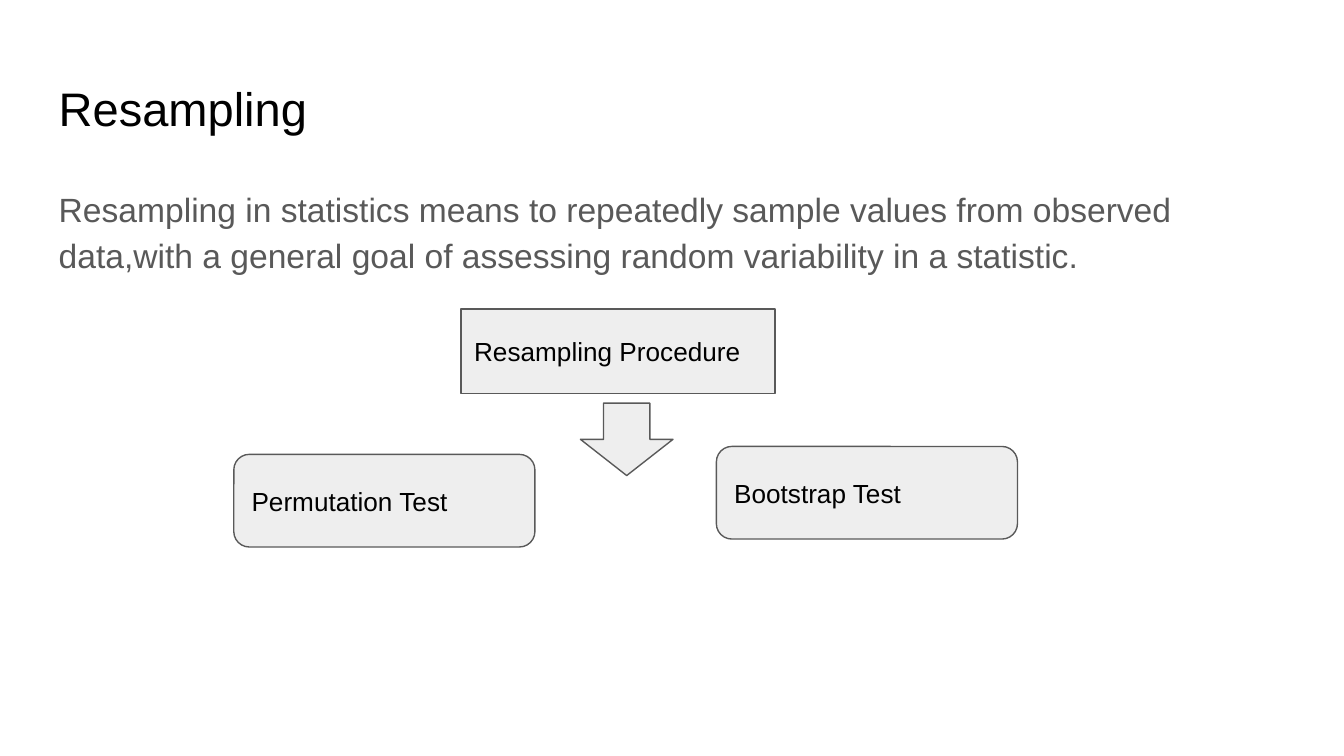
from pptx import Presentation
from pptx.dml.color import RGBColor
from pptx.enum.shapes import MSO_SHAPE
from pptx.enum.text import MSO_ANCHOR, MSO_AUTO_SIZE, PP_ALIGN
from pptx.oxml.xmlchemy import OxmlElement
from pptx.util import Cm, Pt

BLACK = RGBColor(0x00, 0x00, 0x00)
GRAY = RGBColor(0x59, 0x59, 0x59)
LIGHT_GRAY = RGBColor(0xEE, 0xEE, 0xEE)
RECTANGLE = MSO_SHAPE.RECTANGLE
ROUNDED = MSO_SHAPE.ROUNDED_RECTANGLE
DOWN_ARROW = MSO_SHAPE.DOWN_ARROW
TOP = MSO_ANCHOR.TOP
MIDDLE = MSO_ANCHOR.MIDDLE
LEFT = PP_ALIGN.LEFT
NO_AUTOFIT = MSO_AUTO_SIZE.NONE
FONT = "Arial"
INSET = Cm(0.25)


def place(shape, box):
    """Move a shape to a (left, top, width, height) box in centimetres."""
    shape.left, shape.top, shape.width, shape.height = map(Cm, box)


def write_text(shape, text, size, color, anchor):
    """Fill a shape with one left-aligned paragraph and return it."""
    frame = shape.text_frame
    frame.text = text
    frame.word_wrap = True
    frame.auto_size = NO_AUTOFIT
    frame.vertical_anchor = anchor
    frame.margin_left = frame.margin_right = INSET
    frame.margin_top = frame.margin_bottom = INSET
    paragraph = frame.paragraphs[0]
    paragraph.alignment = LEFT
    font = paragraph.runs[0].font
    font.name, font.size = FONT, Pt(size)
    font.color.rgb = color
    return paragraph


def add_title(slide, box):
    """Place the slide title."""
    title = slide.shapes.title
    place(title, box)
    write_text(title, "Resampling", 25.2, BLACK, MIDDLE)


def add_definition(slide, box):
    """Place the definition in the body placeholder, without a bullet."""
    body = slide.placeholders[1]
    place(body, box)
    paragraph = write_text(
        body,
        "Resampling in statistics means to repeatedly sample values from observed "
        "data,with a general goal of assessing random variability in a statistic.",
        18, GRAY, TOP)
    properties = paragraph._p.get_or_add_pPr()
    properties.set("marL", "0")
    properties.set("indent", "0")
    properties.append(OxmlElement("a:buNone"))
    paragraph.line_spacing = 1.15
    paragraph.space_before = Pt(0)


def add_node(slide, kind, box, text=None):
    """Add one outlined gray shape of the diagram, with an optional label."""
    node = slide.shapes.add_shape(kind, *map(Cm, box))
    node.shadow.inherit = False
    node.fill.solid()
    node.fill.fore_color.rgb = LIGHT_GRAY
    node.line.color.rgb = GRAY
    node.line.width = Pt(0.75)
    if text:
        write_text(node, text, 14, BLACK, MIDDLE)


def add_diagram(slide, box):
    """Draw the procedure, the arrow and the two tests inside a box."""
    left, top, width, height = box
    test_width, test_height = 5.69, 1.75
    add_node(slide, RECTANGLE, (left + 4.29, top, 5.94, 1.6), "Resampling Procedure")
    add_node(slide, DOWN_ARROW, (left + 6.55, top + 1.78, 1.75, 1.37))
    test_top = top + height - test_height
    add_node(slide, ROUNDED, (left, test_top, test_width, test_height),
             "Permutation Test")
    add_node(slide, ROUNDED,
             (left + width - test_width, test_top - 0.15, test_width, test_height),
             "Bootstrap Test")


def main():
    """Build and save the presentation."""
    presentation = Presentation()
    presentation.slide_width, presentation.slide_height = Cm(25.4), Cm(14.29)
    slide = presentation.slides.add_slide(presentation.slide_layouts[1])
    add_title(slide, (0.86, 1.24, 23.67, 1.6))
    add_definition(slide, (0.86, 3.2, 23.67, 9.5))
    add_diagram(slide, (4.42, 5.84, 14.81, 4.5))
    presentation.save("out.pptx")


if __name__ == "__main__":
    main()
